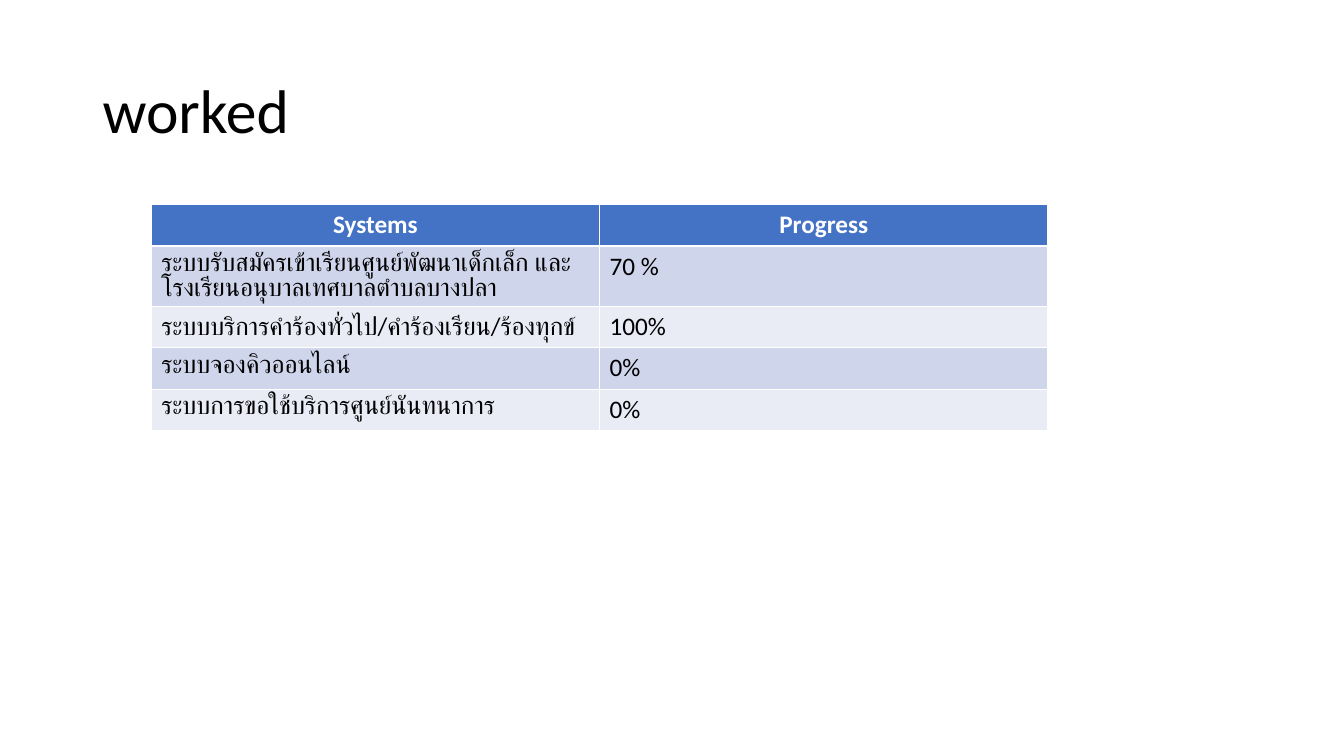
"""Builds the slide that lists each system and its progress."""
from dataclasses import dataclass

from pptx import Presentation
from pptx.dml.color import RGBColor
from pptx.enum.text import MSO_ANCHOR, MSO_AUTO_SIZE, PP_ALIGN
from pptx.slide import Slide
from pptx.text.text import TextFrame
from pptx.util import Cm, Pt


@dataclass(frozen=True)
class Theme:
    font: str = "Calibri"
    title_size: int = 44
    table_size: int = 18
    text: str = "000000"
    header_text: str = "FFFFFF"
    header_fill: str = "4472C4"
    bands: tuple[str, str] = ("CFD5EA", "E9EBF5")


@dataclass(frozen=True)
class Row:
    system: str
    progress: str
    height: float = 1.04


THEME = Theme()
HEADER = Row("Systems", "Progress")
ROWS = [
    Row("ระบบรับสมัครเข้าเรียนศูนย์พัฒนาเด็กเล็ก และโรงเรียนอนุบาลเทศบาลตำบลบางปลา", "70 %", 1.52),
    Row("ระบบบริการคำร้องทั่วไป/คำร้องเรียน/ร้องทุกข์", "100%"),
    Row("ระบบจองคิวออนไลน์", "0%"),
    Row("ระบบการขอใช้บริการศูนย์นันทนาการ", "0%"),
]
COL_WIDTH = 11.3


def write(tf: TextFrame, text: str, size: int, color: str,
          align: PP_ALIGN = PP_ALIGN.LEFT, bold: bool = False) -> None:
    p = tf.paragraphs[0]
    p.alignment = align
    r = p.add_run()
    r.text = text
    r.font.name = THEME.font
    r.font.size = Pt(size)
    r.font.bold = bold
    r.font.color.rgb = RGBColor.from_string(color)


def add_title(s: Slide, text: str) -> None:
    sp = s.shapes.title
    sp.left, sp.top, sp.width, sp.height = Cm(2.33), Cm(1.01), Cm(29.21), Cm(3.68)
    tf = sp.text_frame
    tf.auto_size = MSO_AUTO_SIZE.NONE
    tf.vertical_anchor = MSO_ANCHOR.MIDDLE
    tf.paragraphs[0].line_spacing = 0.9
    write(tf, text, THEME.title_size, THEME.text)


def add_progress_table(s: Slide, rows: list[Row]) -> None:
    height = sum(row.height for row in rows)
    table = s.shapes.add_table(len(rows), 2, Cm(3.81), Cm(5.16),
                               Cm(2 * COL_WIDTH), Cm(height)).table
    for col in table.columns:
        col.width = Cm(COL_WIDTH)
    for i, row in enumerate(rows):
        table.rows[i].height = Cm(row.height)
        is_header = i == 0
        fill = THEME.header_fill if is_header else THEME.bands[(i - 1) % 2]
        color = THEME.header_text if is_header else THEME.text
        align = PP_ALIGN.CENTER if is_header else PP_ALIGN.LEFT
        for j, text in enumerate((row.system, row.progress)):
            cell = table.cell(i, j)
            cell.fill.solid()
            cell.fill.fore_color.rgb = RGBColor.from_string(fill)
            write(cell.text_frame, text, THEME.table_size, color, align, is_header)


def main() -> None:
    prs = Presentation()
    prs.slide_width, prs.slide_height = Cm(33.87), Cm(19.05)
    s = prs.slides.add_slide(prs.slide_layouts[5])
    add_title(s, "worked")
    add_progress_table(s, [HEADER, *ROWS])
    prs.save("out.pptx")


if __name__ == "__main__":
    main()
